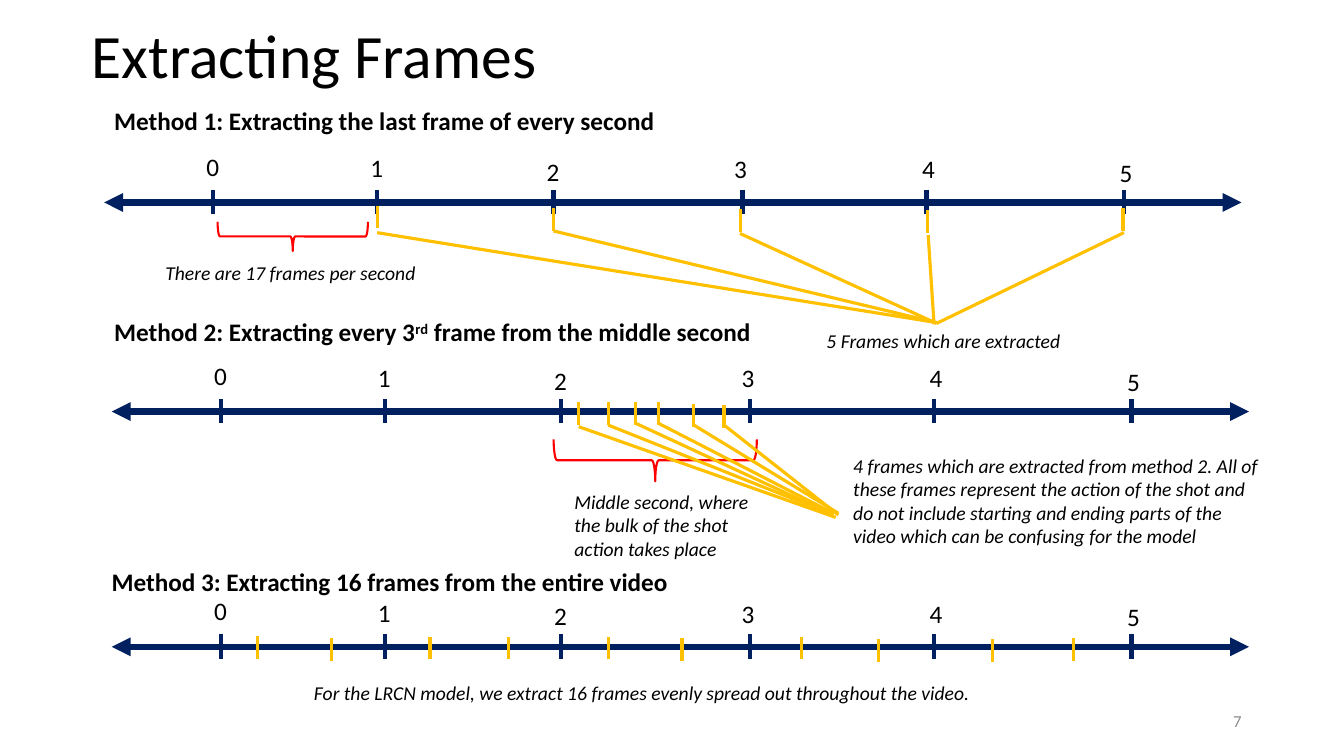
from typing import NamedTuple, Optional

from lxml import etree
from pptx import Presentation
from pptx import util as u
from pptx.dml.color import RGBColor
from pptx.enum import shapes, text
from pptx.oxml.ns import qn

# Grid of square cells covering the slide
COLS, ROWS = 160, 90
CELL = u.Inches(1) / 12

NAVY, AMBER, RED, BLACK, GREY = "002060", "FFC000", "FF0000", "000000", "8C8C8C"


class Box(NamedTuple):
    x: float
    y: float
    w: float
    h: float


class Point(NamedTuple):
    x: float
    y: float


class Second(NamedTuple):
    """A tick on a timeline: offsets from the axis start."""
    tick: float
    label: float
    rise: float


class Frame(NamedTuple):
    """An extracted frame, with an optional ray to its caption."""
    x: float
    foot: float
    ray_from: Optional[Point] = None
    ray_to: Optional[Point] = None


class Method(NamedTuple):
    heading: str
    heading_box: Box
    axis: Point
    frames: list[Frame]
    superscript: str = ""
    heading_end: str = ""


class Note(NamedTuple):
    words: str
    box: Box
    wrap: bool


SECONDS = [
    Second(13, 13, 6.7), Second(32.5, 32.5, 6.5), Second(53.5, 53.5, 6.1),
    Second(76, 75.8, 6.4), Second(97.9, 98.2, 6.4), Second(121.4, 121.7, 6),
]
AXIS_LENGTH, FRAME_HEIGHT = 135.4, 2.7

METHODS = [
    Method("Method 1: Extracting the last frame of every second",
           Box(12.4, 11.9, 67.3, 4.8), Point(12.4, 24.1), [
               Frame(44.9, 27.2, Point(44.9, 27.7), Point(111.5, 38.4)),
               Frame(65.9, 27.5, Point(65.9, 27.5), Point(111.5, 38.4)),
               Frame(88.2, 27.6, Point(88.1, 27.8), Point(111.5, 38.5)),
               Frame(110.4, 27.7, Point(110.5, 28), Point(111.2, 38.6)),
               Frame(133.7, 27.5, Point(133.8, 27.7), Point(111.5, 38.5))]),
    Method("Method 2: Extracting every 3",
           Box(12.4, 37.1, 79.1, 4.8), Point(13.3, 49), [
               Frame(68.9, 50.6, Point(68.9, 50.8), Point(99.5, 61.6)),
               Frame(72.4, 50.6, Point(72.4, 50.6), Point(99.2, 61.3)),
               Frame(75.7, 50.6, Point(75.7, 50.4), Point(99.2, 61.3)),
               Frame(78.4, 50.6, Point(78.4, 50.4), Point(99.2, 61.1)),
               Frame(82.6, 50.8, Point(82.6, 50.6), Point(99.8, 61.1)),
               Frame(86.2, 50.9, Point(86.2, 50.6), Point(99.8, 61.3))],
           "rd", " frame from the middle second"),
    Method("Method 3: Extracting 16 frames from the entire video",
           Box(12.1, 66.8, 69.2, 4.8), Point(13.3, 77), [
               Frame(30.7, 78.4), Frame(39.5, 78.7), Frame(51.2, 78.5),
               Frame(60.5, 78.5), Frame(72.4, 78.5), Frame(81.2, 78.7),
               Frame(95.4, 78.5), Frame(104.6, 78.8), Frame(118.2, 78.8),
               Frame(127.8, 78.7)]),
]

NOTES = [
    Note("There are 17 frames per second", Box(18.5, 30.5, 32.8, 4.1), False),
    Note("5 Frames which are extracted", Box(97.2, 38.6, 30.6, 4.1), False),
    Note("Middle second, where the bulk of the shot action takes place",
         Box(67.2, 57.7, 25.6, 9.7), True),
    Note("4 frames which are extracted from method 2. All of these frames represent "
         "the action of the shot and do not include starting and ending parts of the "
         "video which can be confusing for the model", Box(100.4, 53.4, 51.8, 12.5), True),
    Note("For the LRCN model, we extract 16 frames evenly spread out throughout the video.",
         Box(36.2, 80.5, 82.9, 4.1), True),
]

BRACES = [Box(33.1, 19.2, 3.5, 17.9), Box(75.5, 42.7, 5, 24.2)]


def cells(*counts: float) -> list[u.Emu]:
    return [u.Emu(round(n * CELL)) for n in counts]


def rgb(value: str) -> RGBColor:
    return RGBColor.from_string(value)


def add_run(p, words: str, *, size: float, color: str = BLACK, bold: bool = False,
            italic: bool = False, raised: bool = False) -> None:
    r = p.add_run()
    r.text = words
    f = r.font
    f.name, f.size, f.bold, f.italic = "Calibri", u.Pt(size), bold, italic
    f.color.rgb = rgb(color)
    if raised:
        r._r.get_or_add_rPr().set("baseline", "30000")


def add_text(parent, box: Box, words: str, *, wrap: bool = False, **fmt):
    tf = parent.add_textbox(*cells(*box)).text_frame
    tf.word_wrap = wrap
    tf.auto_size = text.MSO_AUTO_SIZE.SHAPE_TO_FIT_TEXT
    add_run(tf.paragraphs[0], words, **fmt)
    return tf


def add_line(parent, start: Point, end: Point, color: str, width: float,
             arrows: bool = False) -> None:
    c = parent.add_connector(shapes.MSO_CONNECTOR.STRAIGHT, *cells(*start, *end))
    c.line.color.rgb = rgb(color)
    c.line.width = u.Pt(width)
    if arrows:
        for tag in ("a:headEnd", "a:tailEnd"):
            etree.SubElement(c.line._get_or_add_ln(), qn(tag), type="triangle")
    etree.SubElement(c._element.spPr, qn("a:effectLst"))


def add_timeline(parent, axis: Point) -> None:
    add_line(parent, axis, Point(axis.x + AXIS_LENGTH, axis.y), NAVY, 4.5, arrows=True)
    for number, sec in enumerate(SECONDS):
        x = axis.x + sec.tick
        add_line(parent, Point(x, axis.y - 1.5), Point(x, axis.y + 1.4), NAVY, 3)
        add_text(parent, Box(axis.x + sec.label - 2, axis.y - sec.rise, 4, 4.8),
                 str(number), size=18)


def add_frames(parent, frames: list[Frame]) -> None:
    for fr in frames:
        add_line(parent, Point(fr.x, fr.foot), Point(fr.x, fr.foot - FRAME_HEIGHT), AMBER, 2.25)
    for fr in frames:
        if fr.ray_from and fr.ray_to:
            add_line(parent, fr.ray_to, fr.ray_from, AMBER, 2.25)


def add_brace(parent, box: Box) -> None:
    sp = parent.add_shape(shapes.MSO_SHAPE.RIGHT_BRACE, *cells(*box))
    sp.rotation = 90
    sp.shadow.inherit = False
    sp.fill.background()
    sp.line.color.rgb = rgb(RED)
    sp.line.width = u.Pt(1.5)


def main() -> None:
    prs = Presentation()
    prs.slide_width, prs.slide_height = cells(COLS, ROWS)
    s = prs.slides.add_slide(prs.slide_layouts[5])

    # Title
    title = s.shapes.title
    title.left, title.top, title.width, title.height = cells(9.7, 1.8, 138, 10.4)
    tf = title.text_frame
    tf.vertical_anchor = text.MSO_ANCHOR.MIDDLE
    p = tf.paragraphs[0]
    p.alignment, p.line_spacing = text.PP_ALIGN.LEFT, 0.9
    add_run(p, "Extracting Frames", size=44)

    # Braces lie beneath the rays
    for brace in BRACES:
        add_brace(s.shapes, brace)

    # Headings, timelines and extracted frames
    for m in METHODS:
        tf = add_text(s.shapes, m.heading_box, m.heading, size=18, bold=True)
        if m.superscript:
            add_run(tf.paragraphs[0], m.superscript, size=18, bold=True, raised=True)
            add_run(tf.paragraphs[0], m.heading_end, size=18, bold=True)
        add_timeline(s.shapes.add_group_shape().shapes, m.axis)
        add_frames(s.shapes, m.frames)

    # Captions
    for note in NOTES:
        add_text(s.shapes, note.box, note.words, wrap=note.wrap, size=14, italic=True)

    # Slide number
    tf = add_text(s.shapes, Box(113, 83.4, 36, 4.8), "7", wrap=True, size=12, color=GREY)
    tf.auto_size = text.MSO_AUTO_SIZE.NONE
    tf.vertical_anchor = text.MSO_ANCHOR.MIDDLE
    tf.paragraphs[0].alignment = text.PP_ALIGN.RIGHT

    prs.save("out.pptx")


if __name__ == "__main__":
    main()
